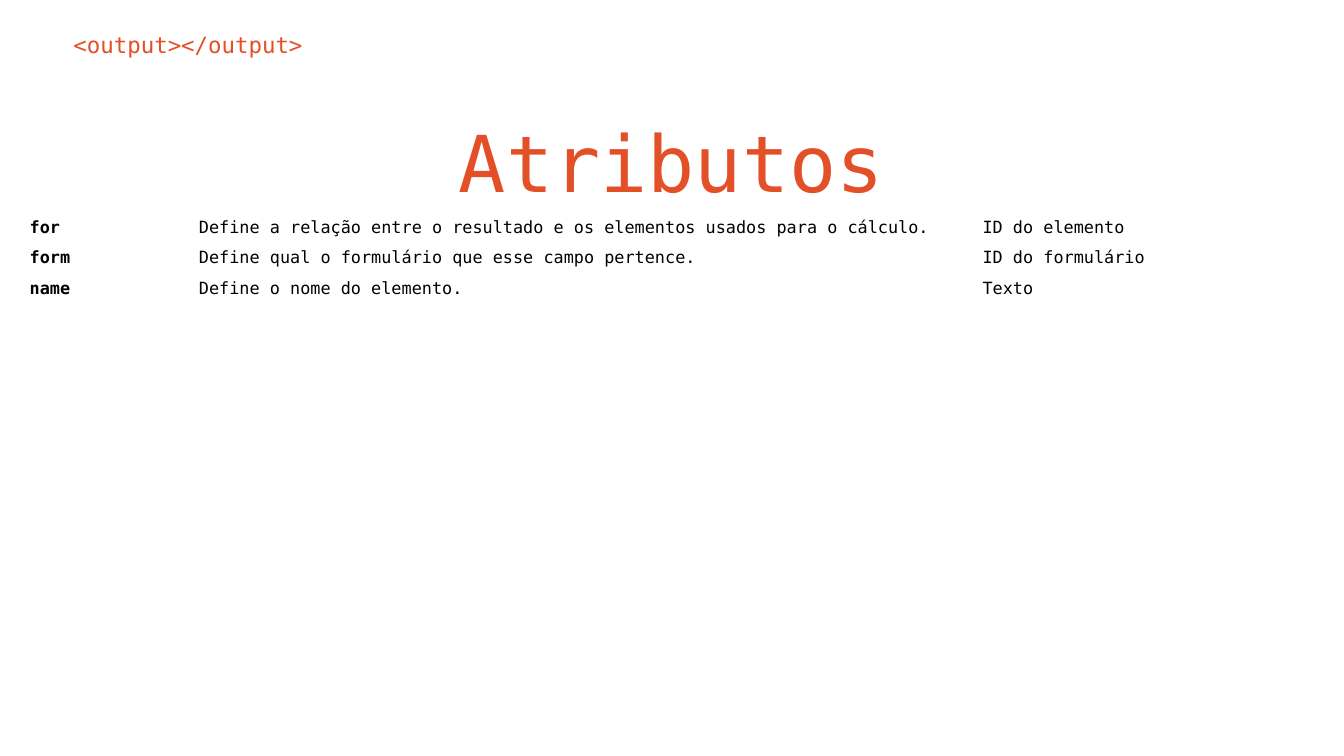
from dataclasses import dataclass

from pptx import Presentation
from pptx.dml.color import RGBColor
from pptx.enum.text import MSO_ANCHOR as Anchor, MSO_AUTO_SIZE as AutoSize, PP_ALIGN as Align
from pptx.util import Cm, Pt


@dataclass(frozen=True)
class Theme:
    font: str = "DejaVu Sans Mono"
    accent: RGBColor = RGBColor(0xE3, 0x4F, 0x26)
    text: RGBColor = RGBColor(0, 0, 0)
    background: RGBColor = RGBColor(255, 255, 255)
    tag_size: int = 12
    title_size: int = 42
    table_size: int = 9


class SlideBuilder:
    def __init__(self, slide, theme):
        self.slide = slide
        self.theme = theme
        slide.background.fill.solid()
        slide.background.fill.fore_color.rgb = theme.background

    def style_text(self, text_frame, text, size, color, bold=False):
        text_frame.text = text
        text_frame.word_wrap = True
        paragraph = text_frame.paragraphs[0]
        for run in paragraph.runs:
            run.font.name = self.theme.font
            run.font.size = Pt(size)
            run.font.bold = bold
            run.font.color.rgb = color
        return paragraph

    def set_margins(self, holder, margin):
        holder.margin_left = holder.margin_right = Cm(margin)
        holder.margin_top = holder.margin_bottom = Cm(margin)

    def tag(self, text, left, top, width, height):
        shape = self.slide.shapes.add_textbox(Cm(left), Cm(top), Cm(width), Cm(height))
        self.style_text(shape.text_frame, text, self.theme.tag_size, self.theme.accent)
        self.set_margins(shape.text_frame, 0.25)

    def title(self, text, left, top, width, height):
        shape = self.slide.shapes.title
        shape.left, shape.top = Cm(left), Cm(top)
        shape.width, shape.height = Cm(width), Cm(height)
        text_frame = shape.text_frame
        paragraph = self.style_text(text_frame, text, self.theme.title_size, self.theme.accent)
        paragraph.alignment = Align.CENTER
        paragraph.line_spacing = 1.15
        self.set_margins(text_frame, 0.25)
        text_frame.auto_size = AutoSize.NONE
        text_frame.vertical_anchor = Anchor.MIDDLE

    def table(self, rows, left, top, widths, row_height):
        table = self.slide.shapes.add_table(
            len(rows), len(widths), Cm(left), Cm(top),
            Cm(sum(widths)), Cm(row_height * len(rows)),
        ).table
        table.first_row = table.horz_banding = False
        for column, width in zip(table.columns, widths):
            column.width = Cm(width)
        for row, texts in zip(table.rows, rows):
            row.height = Cm(row_height)
            for index, (cell, text) in enumerate(zip(row.cells, texts)):
                self.style_text(cell.text_frame, text, self.theme.table_size,
                                self.theme.text, bold=index == 0)
                self.set_margins(cell, 0.1)
                cell.fill.background()


def main():
    presentation = Presentation()
    presentation.slide_width, presentation.slide_height = Cm(25.4), Cm(14.29)
    title_only = presentation.slide_layouts.get_by_name("Title Only")
    builder = SlideBuilder(presentation.slides.add_slide(title_only), Theme())

    builder.tag("<output></output>", 1.14, 0.33, 23.32, 1.07)
    builder.title("Atributos", 1.8, 1.83, 21.77, 2.18)
    attributes = [
        ("for", "Define a relação entre o resultado e os elementos usados para o cálculo.",
         "ID do elemento"),
        ("form", "Define qual o formulário que esse campo pertence.", "ID do formulário"),
        ("name", "Define o nome do elemento.", "Texto"),
    ]
    builder.table(attributes, 0.46, 4.01, (3.2, 14.81, 6.17), 0.5)
    presentation.save("out.pptx")


if __name__ == "__main__":
    main()
